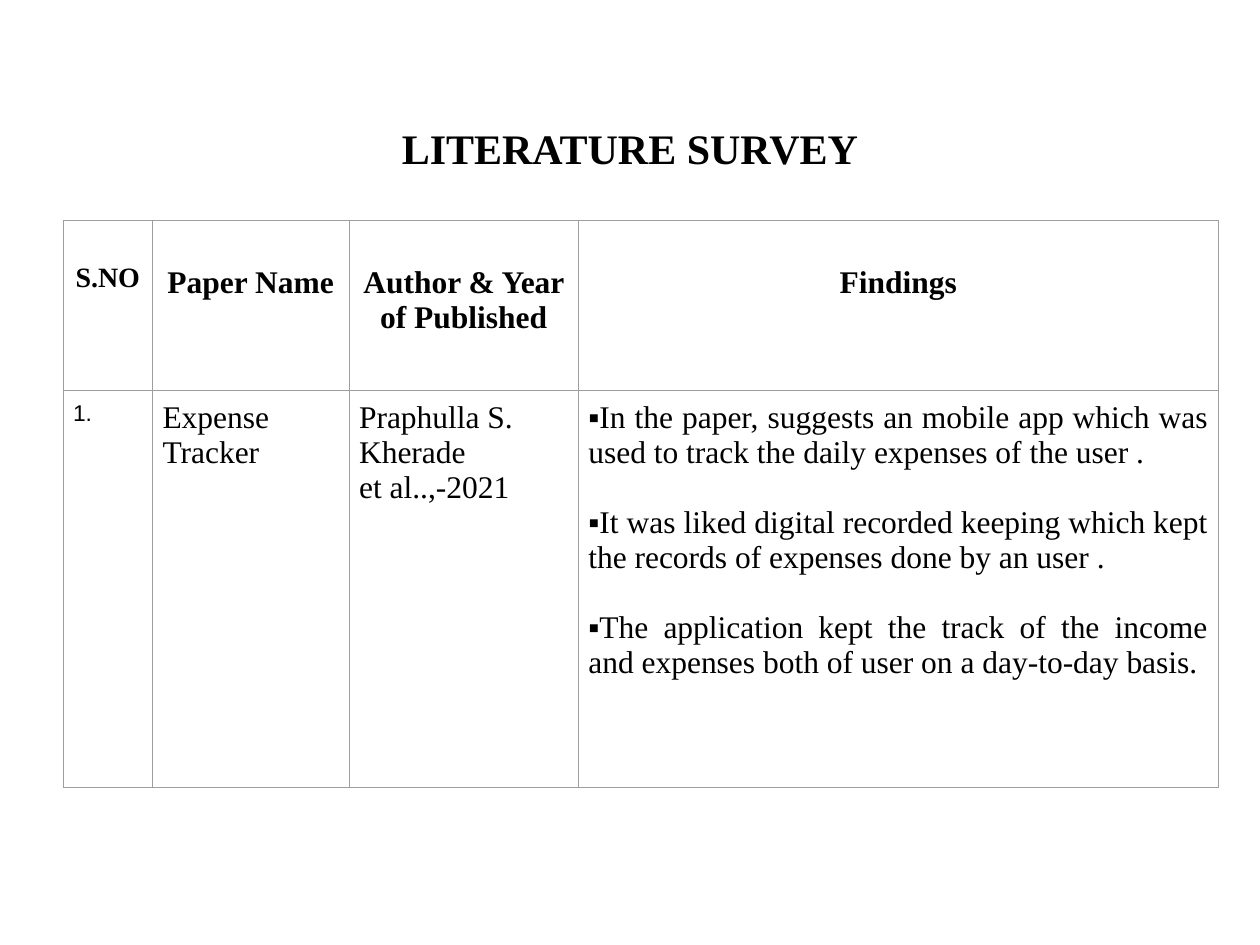
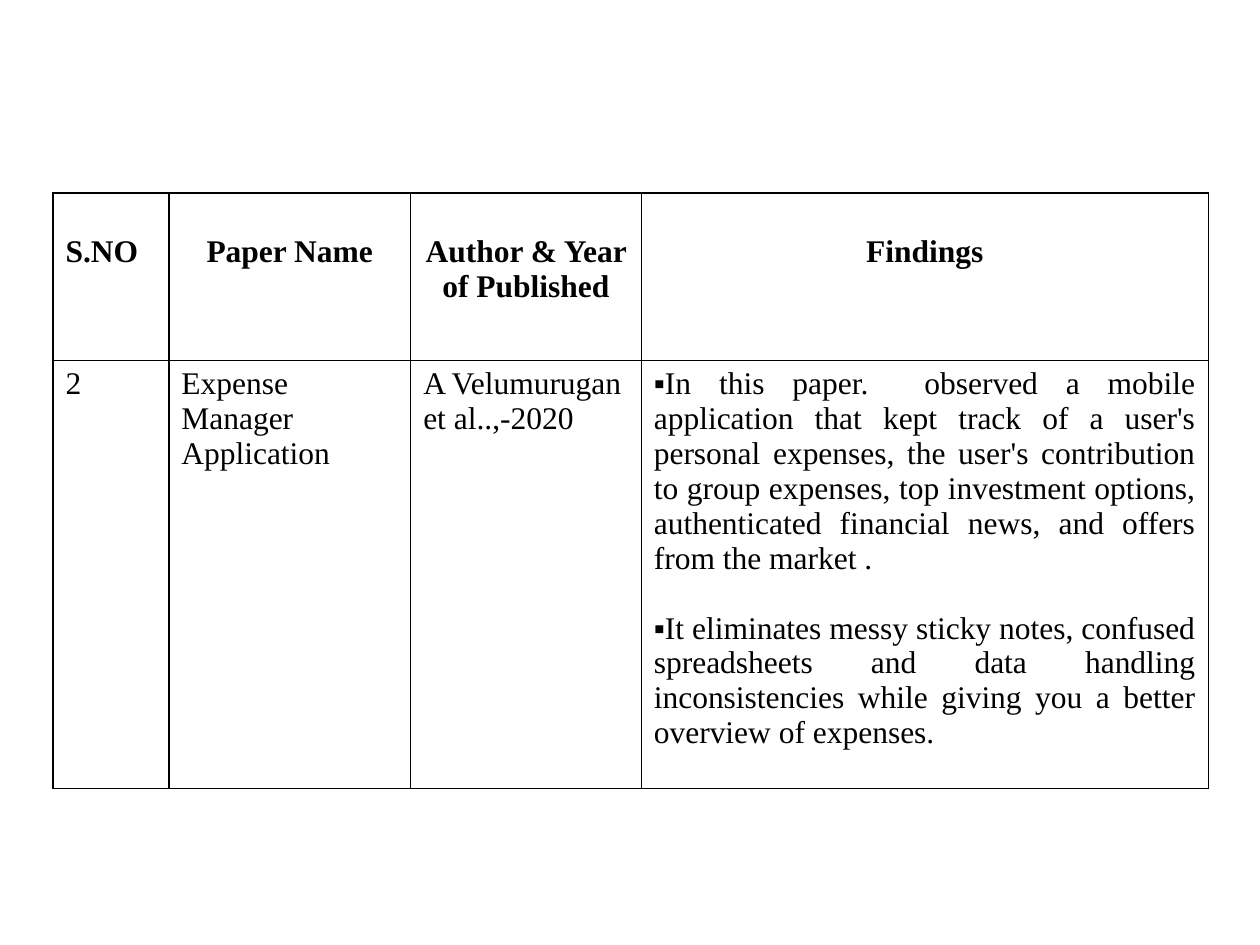
import pptx
import pptx.dml.color
import pptx.enum.text
import pptx.oxml
import pptx.oxml.ns
import pptx.util
from pptx.util import Inches

ALIGN = pptx.enum.text.PP_ALIGN
HEADINGS = ["S.NO", "Paper Name", "Author & Year of Published", "Findings"]


def color(value):
    """Turn a hex string into a colour."""
    return pptx.dml.color.RGBColor.from_string(value)


class Survey:
    """Hold the shared style and the current page of the survey."""

    serif = "Times New Roman"
    ink = "000000"
    paper = "FFFFFF"
    size = 18

    def __init__(self):
        """Open an empty 10 by 7.5 inch deck."""
        self.deck = pptx.Presentation()
        self.deck.slide_width = Inches(10)
        self.deck.slide_height = Inches(7.5)
        self.page = None

    def add_page(self, layout):
        """Start a page with the numbered layout."""
        self.page = self.deck.slides.add_slide(self.deck.slide_layouts[layout])

    def style(self, para, align, size=size, bold=False, font=serif):
        """Format a paragraph and its runs."""
        para.alignment = align
        for span in para.runs:
            span.font.name = font
            span.font.size = pptx.util.Pt(size)
            span.font.bold = bold
            span.font.color.rgb = color(self.ink)

    def title(self, text, left, top, width, height):
        """Place the page title."""
        box = self.page.shapes.title
        box.left, box.top = Inches(left), Inches(top)
        box.width, box.height = Inches(width), Inches(height)
        frame = box.text_frame
        frame.text = text
        frame.auto_size = pptx.enum.text.MSO_AUTO_SIZE.NONE
        frame.vertical_anchor = pptx.enum.text.MSO_ANCHOR.MIDDLE
        self.style(frame.paragraphs[0], ALIGN.CENTER, 24, True)

    def bullet(self, para):
        """Give a paragraph a small square bullet without indent."""
        properties = para._p.get_or_add_pPr()
        properties.set("marL", "0")
        properties.set("indent", "0")
        namespace = pptx.oxml.ns.nsdecls("a")
        properties.append(pptx.oxml.parse_xml(f'<a:buFont {namespace} typeface="Arial"/>'))
        properties.append(pptx.oxml.parse_xml(f'<a:buChar {namespace} char="▪"/>'))

    def frame_cell(self, cell, line, weight):
        """Draw the four borders of a cell and fill it."""
        properties = cell._tc.get_or_add_tcPr()
        for side in ("lnL", "lnR", "lnT", "lnB"):
            properties.append(pptx.oxml.parse_xml(
                f'<a:{side} {pptx.oxml.ns.nsdecls("a")} w="{int(pptx.util.Pt(weight))}">'
                f'<a:solidFill><a:srgbClr val="{line}"/></a:solidFill></a:{side}>'))
        cell.fill.solid()
        cell.fill.fore_color.rgb = color(self.paper)

    def table(self, left, top, columns, rows, entry, line, weight, inset):
        """Add a survey table of headings and one entry, and return it."""
        shape = self.page.shapes.add_table(
            2, len(columns), Inches(left), Inches(top), Inches(sum(columns)), Inches(sum(rows)))
        table = shape.table
        table.first_row = table.horz_banding = False
        for column, width in zip(table.columns, columns):
            column.width = Inches(width)
        for row, height in zip(table.rows, rows):
            row.height = Inches(height)
        side, edge = inset
        for index, content in enumerate([*HEADINGS, *entry]):
            heading = index < len(HEADINGS)
            findings = index == len(HEADINGS) + len(entry) - 1
            cell = table.cell(*divmod(index, len(columns)))
            cell.margin_left = cell.margin_right = Inches(side)
            cell.margin_top = Inches(edge + 0.28 * heading)
            cell.margin_bottom = Inches(edge)
            cell.text_frame.text = content
            for number, para in enumerate(cell.text_frame.paragraphs):
                if heading:
                    self.style(para, ALIGN.CENTER, bold=True)
                elif findings:
                    self.style(para, ALIGN.JUSTIFY)
                    para.space_before = pptx.util.Pt(20 if number else 0)
                    self.bullet(para)
                else:
                    self.style(para, ALIGN.LEFT)
            self.frame_cell(cell, line, weight)
        return table


survey = Survey()

survey.add_page(5)
survey.title("LITERATURE SURVEY", 1.75, 0.92, 6.5, 0.5)
tracker = survey.table(
    0.5, 1.75, [0.71, 1.56, 1.82, 5.08], [1.35, 3.15],
    ["1.", "Expense Tracker", "Praphulla S. Kherade\net al..,-2021",
     "In the paper, suggests an mobile app which was used to track the daily expenses "
     "of the user .\n"
     "It was liked digital recorded keeping which kept the records of expenses done by "
     "an user .\n"
     "The application kept the track of the income and expenses both of user on a "
     "day-to-day basis."],
    "9E9E9E", 0.6, (0.08, 0.08))
tracker.cell(0, 0).margin_top = Inches(0.33)
survey.style(tracker.cell(0, 0).text_frame.paragraphs[0], ALIGN.CENTER, 16, True)
survey.style(tracker.cell(1, 0).text_frame.paragraphs[0], ALIGN.LEFT, 13, font="Arial")

survey.add_page(6)
manager = survey.table(
    0.42, 1.53, [0.92, 1.92, 1.83, 4.5], [1.33, 3.4],
    ["2", "Expense Manager Application", "A Velumurugan\net al..,-2020",
     "In this paper.  observed a mobile application that kept track of a user's personal "
     "expenses, the user's contribution to group expenses, top investment options, "
     "authenticated financial news, and offers from the market .\n"
     "It eliminates messy sticky notes, confused spreadsheets and data handling "
     "inconsistencies while giving you a better overview of expenses."],
    survey.ink, 1, (0.1, 0.05))
manager.cell(0, 0).text_frame.paragraphs[0].alignment = ALIGN.LEFT

survey.deck.save("out.pptx")
